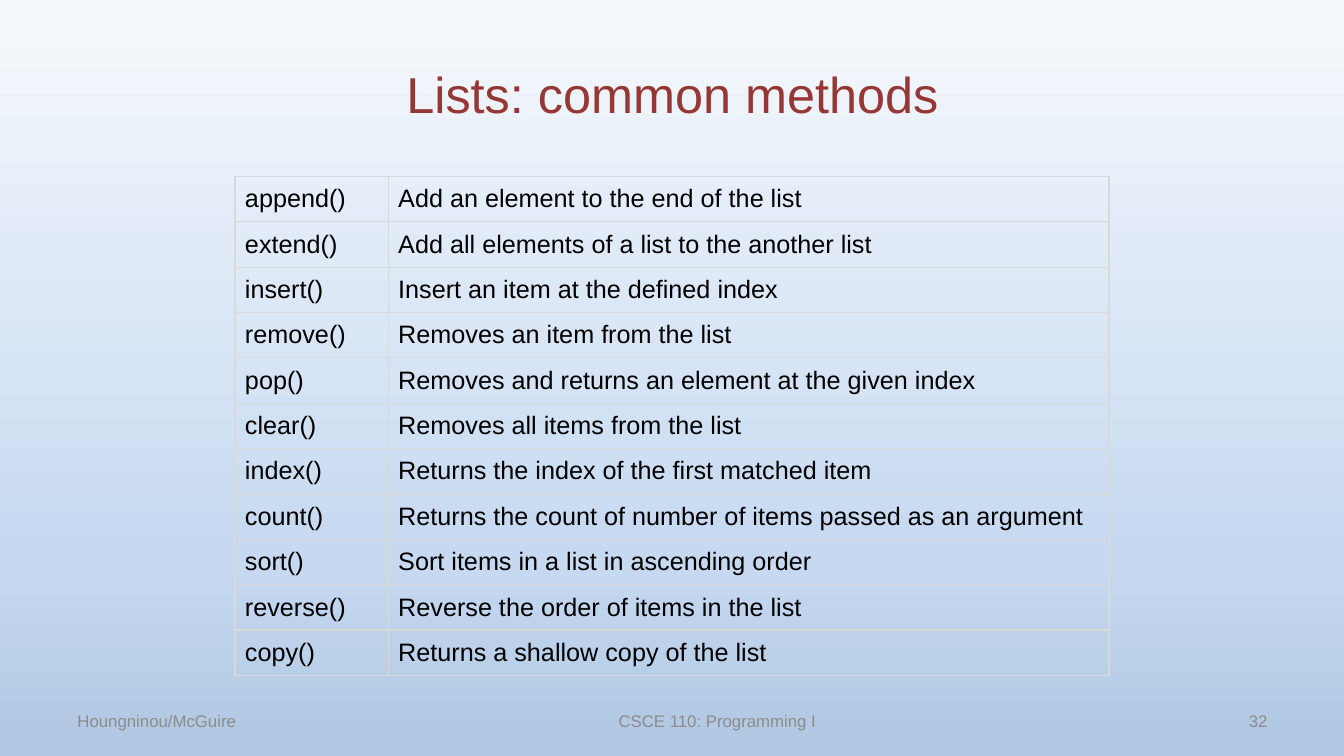
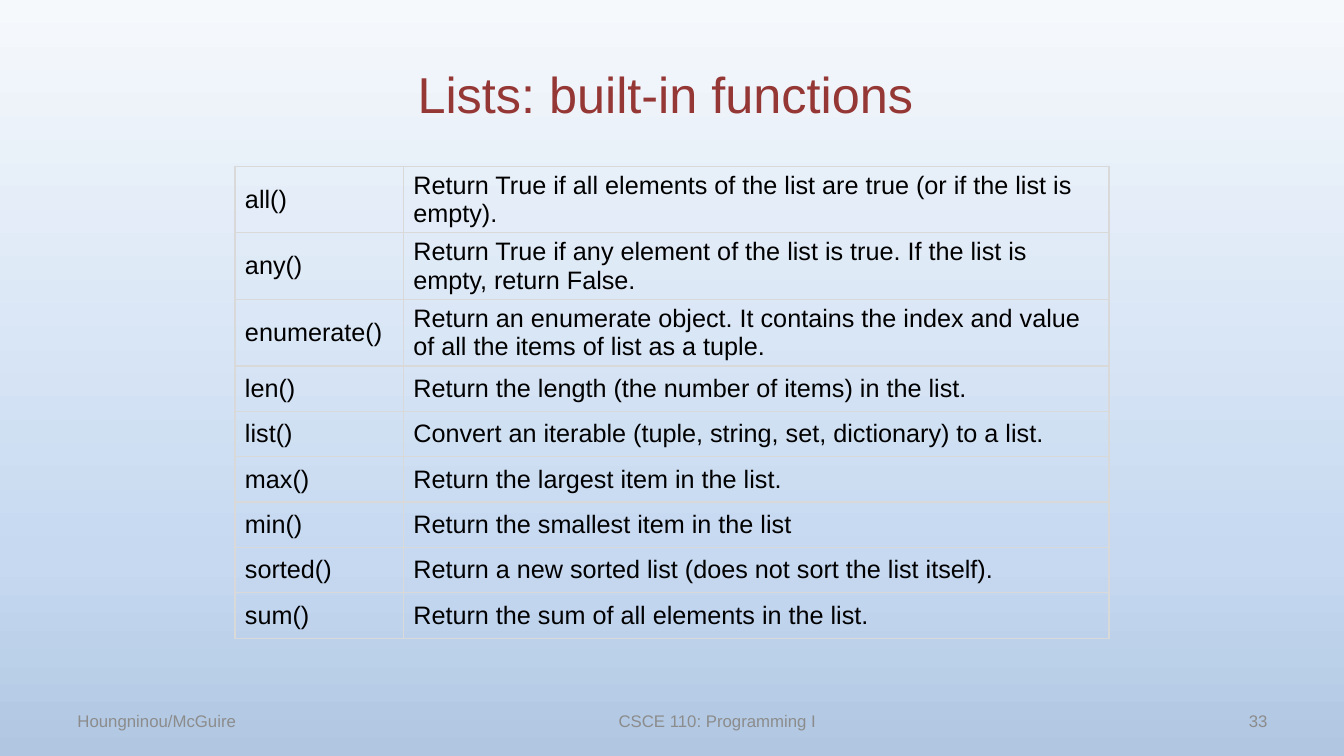
from dataclasses import dataclass

from lxml import etree
from pptx import Presentation
from pptx.dml.color import RGBColor
from pptx.enum.text import MSO_ANCHOR, MSO_AUTO_SIZE, PP_ALIGN
from pptx.oxml.ns import qn
from pptx.util import Inches, Pt

MIDDLE = MSO_ANCHOR.MIDDLE
NO_FIT = MSO_AUTO_SIZE.NONE
LEFT, CENTER, RIGHT = PP_ALIGN.LEFT, PP_ALIGN.CENTER, PP_ALIGN.RIGHT


@dataclass(frozen=True)
class Theme:
    font: str = "Arial"
    title: str = "953735"
    body: str = "000000"
    footer: str = "8C8C8C"
    border: str = "D9D9D9"
    background: tuple = ((0, "F6F9FC"), (74, "C6D9F1"), (100, "B0C6E1"))
    title_size: int = 36
    body_size: int = 18
    footer_size: int = 12
    border_width: int = 1


theme = Theme()

FIRST_NUMBER = 32
TABLE_LEFT, TABLE_WIDTH, ROW_HEIGHT = 2.33, 8.67, 0.45
FOOTER_TOP, FOOTER_HEIGHT = 6.95, 0.4

SLIDES = [
    ("Lists: common methods", 1.75, 1.52, [
        ("append()", "Add an element to the end of the list"),
        ("extend()", "Add all elements of a list to the another list"),
        ("insert()", "Insert an item at the defined index"),
        ("remove()", "Removes an item from the list"),
        ("pop()", "Removes and returns an element at the given index"),
        ("clear()", "Removes all items from the list"),
        ("index()", "Returns the index of the first matched item"),
        ("count()", "Returns the count of number of items passed as an argument"),
        ("sort()", "Sort items in a list in ascending order"),
        ("reverse()", "Reverse the order of items in the list"),
        ("copy()", "Returns a shallow copy of the list"),
    ]),
    ("Lists: built-in functions ", 1.65, 1.67, [
        ("all()", "Return True if all elements of the list are true (or if the list is empty)."),
        ("any()", "Return True if any element of the list is true. If the list is empty, return False."),
        ("enumerate()", "Return an enumerate object. It contains the index and value of all the items of list as a tuple."),
        ("len()", "Return the length (the number of items) in the list."),
        ("list()", "Convert an iterable (tuple, string, set, dictionary) to a list."),
        ("max()", "Return the largest item in the list."),
        ("min()", "Return the smallest item in the list"),
        ("sorted()", "Return a new sorted list (does not sort the list itself)."),
        ("sum()", "Return the sum of all elements in the list."),
    ]),
]


def write(tf, text, size, color, align=LEFT):
    p = tf.paragraphs[0]
    p.alignment = align
    r = p.add_run()
    r.text = text
    r.font.name = theme.font
    r.font.size = Pt(size)
    r.font.color.rgb = RGBColor.from_string(color)


def add_borders(cell):
    tcPr = cell._tc.get_or_add_tcPr()
    for side in ("a:lnL", "a:lnR", "a:lnT", "a:lnB"):
        ln = etree.SubElement(tcPr, qn(side), w=str(Pt(theme.border_width)))
        fill = etree.SubElement(ln, qn("a:solidFill"))
        etree.SubElement(fill, qn("a:srgbClr"), val=theme.border)


prs = Presentation()
prs.slide_width = Inches(13.33)
prs.slide_height = Inches(7.5)

master = prs.slide_master
bg = master.background.fill
bg.gradient()
bg.gradient_angle = 270
stops = master.element.find(".//" + qn("a:gsLst"))
for gs in list(stops):
    stops.remove(gs)
for position, color in theme.background:
    gs = etree.SubElement(stops, qn("a:gs"), pos=str(position * 1000))
    etree.SubElement(gs, qn("a:srgbClr"), val=color)

for number, (title, top, name_width, rows) in enumerate(SLIDES, FIRST_NUMBER):
    s = prs.slides.add_slide(prs.slide_layouts[5])

    sp = s.shapes.title
    sp.left, sp.top = Inches(0.67), Inches(0.3)
    sp.width, sp.height = Inches(12), Inches(1.25)
    tf = sp.text_frame
    tf.auto_size = NO_FIT
    tf.vertical_anchor = MIDDLE
    write(tf, title, theme.title_size, theme.title, CENTER)

    table = s.shapes.add_table(
        len(rows), 2, Inches(TABLE_LEFT), Inches(top),
        Inches(TABLE_WIDTH), Inches(ROW_HEIGHT * len(rows))).table
    table.first_row = False
    table.horz_banding = False
    table.columns[0].width = Inches(name_width)
    table.columns[1].width = Inches(TABLE_WIDTH - name_width)
    for i, texts in enumerate(rows):
        table.rows[i].height = Inches(ROW_HEIGHT)
        for j, text in enumerate(texts):
            cell = table.cell(i, j)
            cell.vertical_anchor = MIDDLE
            add_borders(cell)
            cell.fill.background()
            write(cell.text_frame, text, theme.body_size, theme.body)

    for left, width, text, align in (
        (0.67, 3.11, "Houngninou/McGuire", LEFT),
        (4.56, 5.11, "CSCE 110: Programming I", CENTER),
        (9.56, 3.11, str(number), RIGHT),
    ):
        sp = s.shapes.add_textbox(
            Inches(left), Inches(FOOTER_TOP), Inches(width), Inches(FOOTER_HEIGHT))
        tf = sp.text_frame
        tf.word_wrap = True
        tf.vertical_anchor = MIDDLE
        write(tf, text, theme.footer_size, theme.footer, align)

prs.save("out.pptx")
